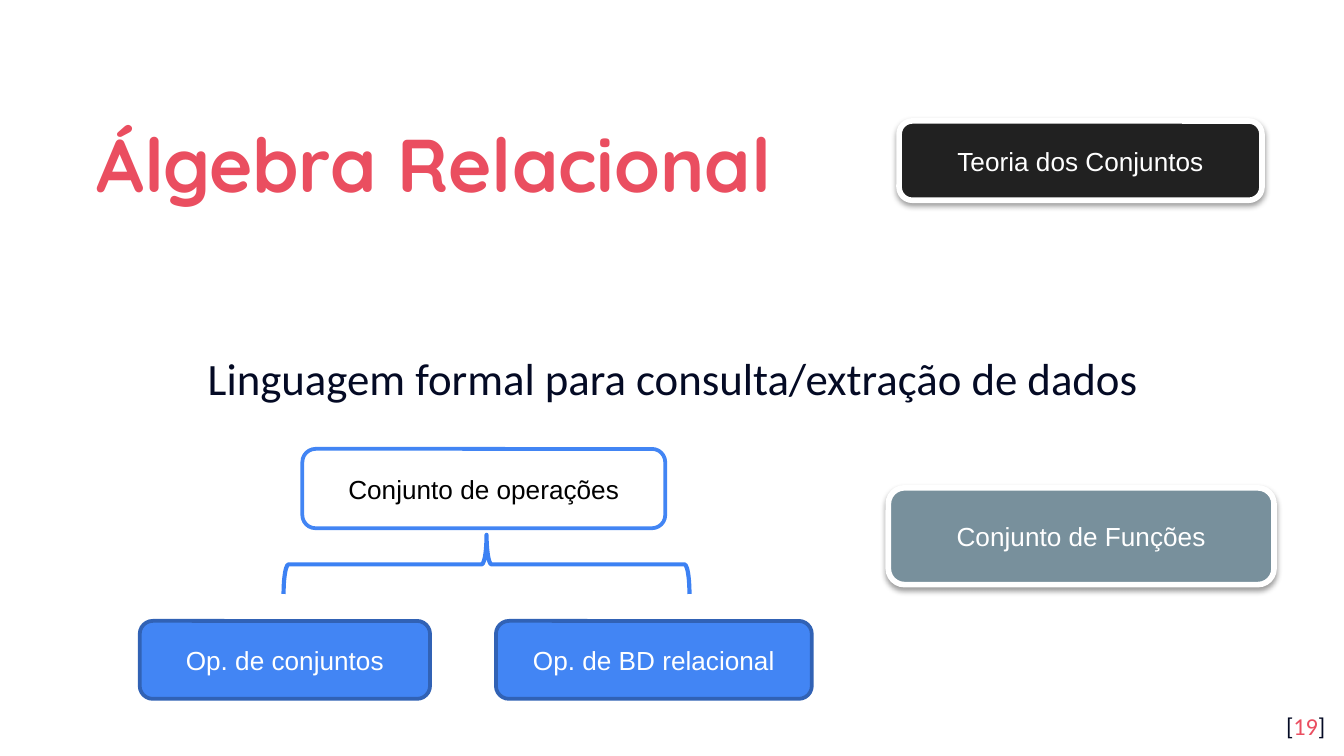
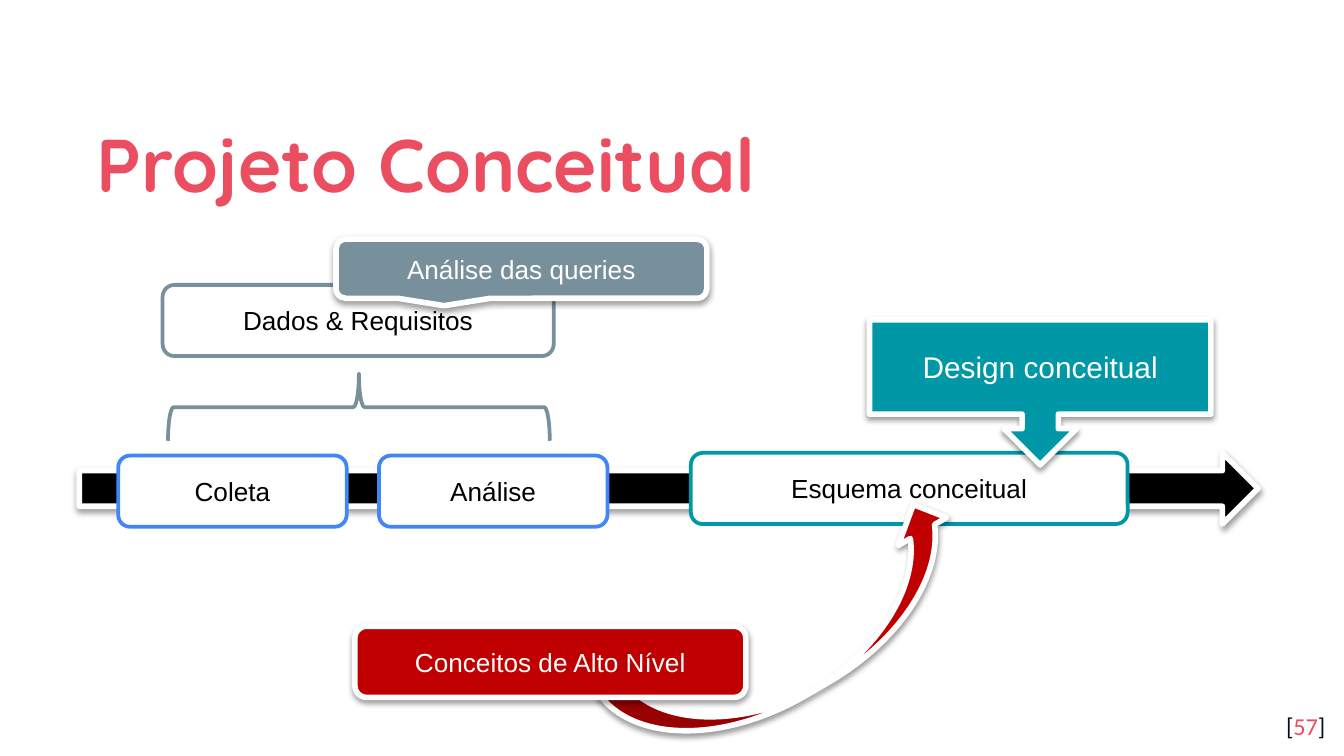
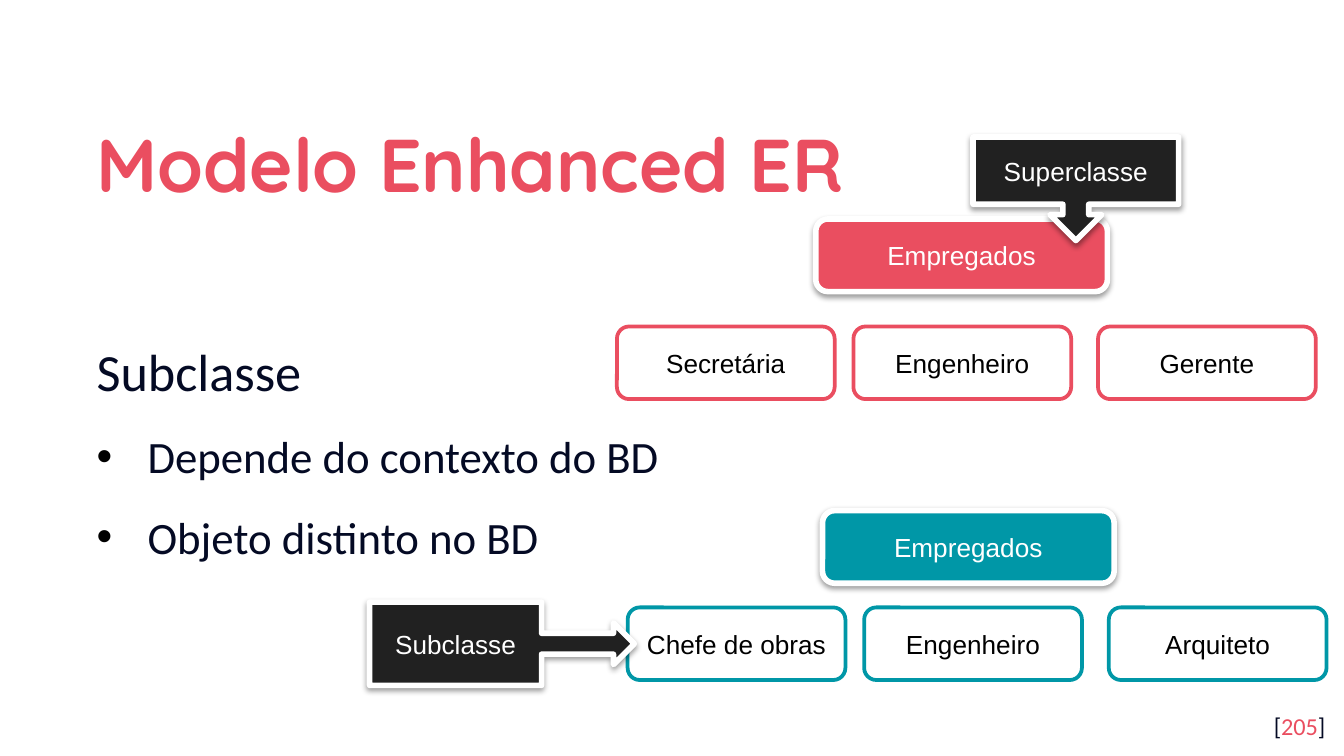
from lxml import etree
from pptx import Presentation
from pptx.dml.color import RGBColor
from pptx.enum.shapes import MSO_SHAPE
from pptx.enum.text import MSO_ANCHOR, PP_ALIGN
from pptx.oxml.ns import qn
from pptx.util import Inches, Pt

ROUND = MSO_SHAPE.ROUNDED_RECTANGLE
BRACE = MSO_SHAPE.LEFT_BRACE
ARROW = MSO_SHAPE.RIGHT_ARROW
CURVED = MSO_SHAPE.CURVED_UP_ARROW
BUBBLE = MSO_SHAPE.ROUNDED_RECTANGULAR_CALLOUT
DOWN_CALLOUT = MSO_SHAPE.DOWN_ARROW_CALLOUT
RIGHT_CALLOUT = MSO_SHAPE.RIGHT_ARROW_CALLOUT
TOP, MIDDLE = MSO_ANCHOR.TOP, MSO_ANCHOR.MIDDLE
LEFT, CENTER, RIGHT = PP_ALIGN.LEFT, PP_ALIGN.CENTER, PP_ALIGN.RIGHT

WHITE, BLACK, INK, DARK = "FFFFFF", "000000", "040A24", "212121"
PINK, TEAL, SLATE, RED = "EA4E60", "0097A7", "78909C", "C00000"
BLUE, BLUE_EDGE, BLUE_BRACE = "4285F4", "3162B5", "3C81F3"


def rgb(value):
    return RGBColor.from_string(value)


def write(p, text, size=14, font="Arial", color=BLACK, bold=False,
          align=CENTER, spacing=None, before=None, bullet=False):
    """Fill a paragraph with a string, or with (string, colour) pairs."""
    if bullet:
        pPr = p._p.get_or_add_pPr()
        pPr.set("marL", str(Inches(0.38)))
        pPr.set("indent", str(-Inches(0.38)))
        clr = etree.SubElement(pPr, qn("a:buClr"))
        etree.SubElement(clr, qn("a:srgbClr"), val=BLACK)
        etree.SubElement(pPr, qn("a:buFont"), typeface="Arial")
        etree.SubElement(pPr, qn("a:buChar"), char="•")
    p.alignment = align
    if spacing:
        p.line_spacing = spacing
    if before:
        p.space_before = Pt(before)
    runs = [(text, color)] if isinstance(text, str) else text
    for part, part_color in runs:
        r = p.add_run()
        r.text = part
        r.font.size = Pt(size)
        r.font.name = font
        r.font.bold = bold
        r.font.color.rgb = rgb(part_color)


class Deck:
    def __init__(self):
        self.prs = Presentation()
        self.prs.slide_width = Inches(10)
        self.prs.slide_height = Inches(10) * 9 // 16
        self.s = None

    def slide(self, title, number):
        self.s = self.prs.slides.add_slide(self.prs.slide_layouts[6])
        tf = self.text_box(0.62, 0.7, 8.77, 0.92)
        write(tf.paragraphs[0], title, size=40, font="Quicksand", color=PINK,
              bold=True, align=LEFT, spacing=1.15)
        tf = self.text_box(9.36, 5.19, 0.6, 0.43, anchor=TOP)
        write(tf.paragraphs[0], [("[", INK), (number, PINK), ("]", INK)],
              size=13, font="Calibri", align=RIGHT)

    def text_box(self, x, y, w, h, anchor=MIDDLE, bottom=0.1):
        sp = self.s.shapes.add_textbox(Inches(x), Inches(y), Inches(w), Inches(h))
        tf = sp.text_frame
        tf.word_wrap = True
        tf.vertical_anchor = anchor
        tf.margin_left = tf.margin_right = tf.margin_top = Inches(0.1)
        tf.margin_bottom = Inches(bottom)
        return tf

    def shape(self, kind, x, y, w, h, text="", fill=WHITE, line=WHITE,
              width=2, rot=0, **fmt):
        sp = self.s.shapes.add_shape(kind, Inches(x), Inches(y), Inches(w), Inches(h))
        sp.rotation = rot
        sp.shadow.inherit = False
        if fill:
            sp.fill.solid()
            sp.fill.fore_color.rgb = rgb(fill)
        else:
            sp.fill.background()
        sp.line.color.rgb = rgb(line)
        sp.line.width = Pt(width)
        if text:
            tf = sp.text_frame
            tf.word_wrap = True
            tf.vertical_anchor = MIDDLE
            write(tf.paragraphs[0], text, **fmt)
        return sp

    def outlined(self, x, y, w, h, text, line):
        """White rounded box with a coloured edge."""
        return self.shape(ROUND, x, y, w, h, text, line=line)

    def raised(self, kind, x, y, w, h, fill, text="", rot=0, size=14):
        """Coloured shape with a thick white edge and a soft shadow."""
        sp = self.shape(kind, x, y, w, h, text, fill=fill, width=3, rot=rot,
                        size=size, color=WHITE)
        effects = sp._element.spPr.find(qn("a:effectLst"))
        shadow = etree.SubElement(effects, qn("a:outerShdw"), blurRad=str(Pt(3.1)),
                                  dist=str(Pt(1.6)), dir="5400000", rotWithShape="0")
        clr = etree.SubElement(shadow, qn("a:srgbClr"), val=BLACK)
        etree.SubElement(clr, qn("a:alpha"), val="38000")
        return sp


def relational_algebra(d):
    d.slide("Álgebra Relacional", "19")
    tf = d.text_box(0.62, 1.62, 8.77, 3.37, bottom=1.15)
    write(tf.paragraphs[0], "Linguagem formal para consulta/extração de dados",
          size=24, font="Calibri", color=INK, spacing=1.15)

    # Operations and their two kinds
    d.outlined(2.25, 3.34, 2.7, 0.59, "Conjunto de operações", BLUE)
    d.shape(BRACE, 3.4, 2.69, 0.44, 3.02, fill=None, line=BLUE_BRACE,
            width=2.25, rot=90)
    for x, w, text in ((1.04, 2.16, "Op. de conjuntos"),
                       (3.69, 2.35, "Op. de BD relacional")):
        d.shape(ROUND, x, 4.62, w, 0.58, text, fill=BLUE, line=BLUE_EDGE, color=WHITE)

    # Foundations
    d.raised(ROUND, 6.69, 0.9, 2.7, 0.59, DARK, "Teoria dos Conjuntos")
    d.raised(ROUND, 6.61, 3.63, 2.87, 0.72, SLATE, "Conjunto de Funções")


def conceptual_design(d):
    d.slide("Projeto Conceitual", "57")

    # Timeline and its steps
    d.raised(ARROW, 0.59, 3.37, 8.77, 0.53, BLACK)
    for x, text in ((0.88, "Coleta"), (2.82, "Análise")):
        d.outlined(x, 3.39, 1.7, 0.53, text, BLUE)
    d.shape(BRACE, 2.42, 1.61, 0.5, 2.84, line=SLATE, rot=90)
    d.outlined(1.21, 2.12, 2.91, 0.53, "Dados & Requisitos", SLATE)
    d.outlined(5.14, 3.37, 3.25, 0.53, "Esquema conceitual", TEAL)

    # Remarks on the steps
    d.raised(DOWN_CALLOUT, 6.47, 2.38, 2.54, 1.08, TEAL, "Design conceitual", size=16)
    d.raised(CURVED, 4.44, 4.33, 2.94, 0.83, RED, rot=330)
    d.raised(ROUND, 2.64, 4.66, 2.91, 0.53, RED, "Conceitos de Alto Nível")
    d.raised(BUBBLE, 2.5, 1.78, 2.76, 0.44, SLATE, "Análise das queries")


def enhanced_er(d):
    d.slide("Modelo Enhanced ER", "205")
    tf = d.text_box(0.62, 1.62, 4.6, 3.41)
    body = dict(font="Calibri", color=INK, align=LEFT, spacing=1.15)
    write(tf.paragraphs[0], "Subclasse", size=28, **body)
    for text in ("Depende do contexto do BD", "Objeto distinto no BD"):
        write(tf.add_paragraph(), text, size=24, before=10, bullet=True, **body)

    # Two class trees: parent box above a row of subclasses
    trees = (
        (PINK, 6.07, 1.63, 4.59, 2.43, ("Secretária", "Engenheiro", "Gerente")),
        (TEAL, 6.12, 3.8, 4.67, 4.52, ("Chefe de obras", "Engenheiro", "Arquiteto")),
    )
    for color, parent_x, parent_y, row_x, row_y, names in trees:
        d.raised(ROUND, parent_x, parent_y, 2.17, 0.54, color, "Empregados")
        for step, name in zip((0, 1.76, 3.58), names):
            d.outlined(row_x + step, row_y, 1.62, 0.54, name, color)

    # Labels pointing at the levels
    d.raised(DOWN_CALLOUT, 7.24, 1.02, 1.53, 0.77, DARK, "Superclasse")
    d.raised(RIGHT_CALLOUT, 2.75, 4.48, 1.97, 0.62, DARK, "Subclasse")


def main():
    d = Deck()
    relational_algebra(d)
    conceptual_design(d)
    enhanced_er(d)
    d.prs.save("out.pptx")


if __name__ == "__main__":
    main()
